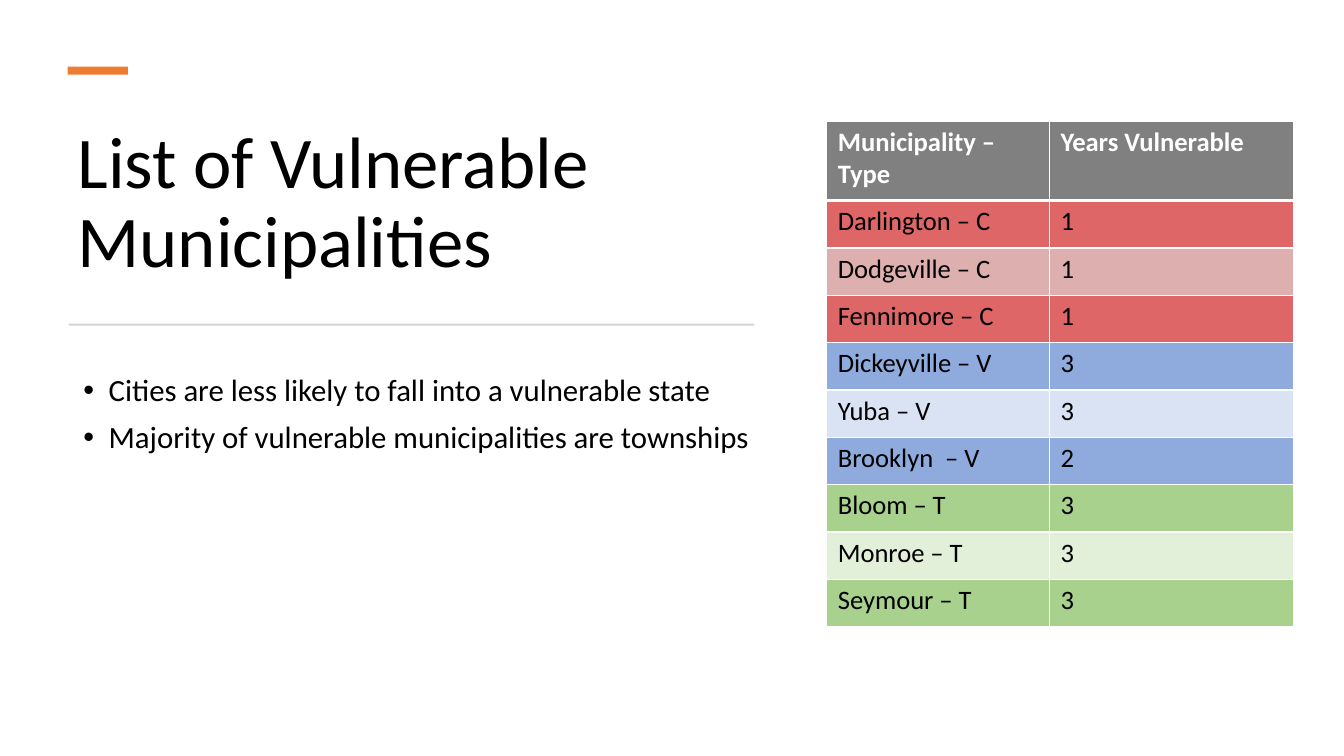
from lxml import etree
from pptx import Presentation
from pptx.dml.color import RGBColor
from pptx.enum.shapes import MSO_SHAPE
from pptx.enum.text import MSO_ANCHOR
from pptx.oxml.ns import qn
from pptx.util import Inches, Pt

RECTANGLE = MSO_SHAPE.RECTANGLE
BOTTOM, TOP = MSO_ANCHOR.BOTTOM, MSO_ANCHOR.TOP

FONT = "Calibri"
BLACK = RGBColor(0x00, 0x00, 0x00)
WHITE = RGBColor(0xFF, 0xFF, 0xFF)
ORANGE = RGBColor(0xED, 0x7D, 0x31)
RULE_GRAY = RGBColor(0xD5, 0xD5, 0xD5)
HEADER_GRAY = RGBColor(0x80, 0x80, 0x80)
RED = RGBColor(0xDE, 0x66, 0x66)
PALE_RED = RGBColor(0xDE, 0xAF, 0xAF)
BLUE = RGBColor(0x8F, 0xAA, 0xDC)
PALE_BLUE = RGBColor(0xDA, 0xE3, 0xF3)
GREEN = RGBColor(0xA9, 0xD1, 0x8E)
PALE_GREEN = RGBColor(0xE2, 0xF0, 0xD9)

LEFT = Inches(0.67)
TEXT_WIDTH = Inches(6.86)
COLUMN_WIDTHS = [Inches(2.21), Inches(2.42)]
HEADER_HEIGHT, ROW_HEIGHT = Inches(0.79), Inches(0.47)

TABLE_ROWS = [
    ("Municipality – Type", "Years Vulnerable", HEADER_GRAY),
    ("Darlington – C", "1", RED),
    ("Dodgeville – C", "1", PALE_RED),
    ("Fennimore – C", "1", RED),
    ("Dickeyville – V", "3", BLUE),
    ("Yuba – V", "3", PALE_BLUE),
    ("Brooklyn  – V", "2", BLUE),
    ("Bloom – T", "3", GREEN),
    ("Monroe – T", "3", PALE_GREEN),
    ("Seymour – T", "3", GREEN),
]


def format_text(paragraph, size, color, bold=False):
    for run in paragraph.runs:
        run.font.name = FONT
        run.font.size = Pt(size)
        run.font.bold = bold
        run.font.color.rgb = color


presentation = Presentation()
presentation.slide_width = Inches(13.33)
presentation.slide_height = Inches(7.5)
slide = presentation.slides.add_slide(presentation.slide_layouts[6])

text_blocks = [
    (1.18, 1.68, BOTTOM, 52, ["List of Vulnerable Municipalities"]),
    (3.67, 3.09, TOP, 22, [
        "Cities are less likely to fall into a vulnerable state",
        "Majority of vulnerable municipalities are townships",
    ]),
]
for top, height, anchor, size, lines in text_blocks:
    text_box = slide.shapes.add_textbox(LEFT, Inches(top), TEXT_WIDTH, Inches(height))
    text_frame = text_box.text_frame
    text_frame.word_wrap = True
    text_frame.vertical_anchor = anchor
    text_frame.text = "\n".join(lines)
    for paragraph in text_frame.paragraphs:
        paragraph.line_spacing = 0.9
        format_text(paragraph, size, BLACK)

for paragraph in text_frame.paragraphs:
    paragraph.space_before = Pt(10)
    properties = paragraph._p.get_or_add_pPr()
    properties.set("marL", str(Inches(0.31)))
    properties.set("indent", str(Inches(-0.25)))
    etree.SubElement(properties, qn("a:buFont"), typeface="Arial")
    etree.SubElement(properties, qn("a:buChar"), char="•")

bars = [
    (0.67, 0.66, 0.6, 0.08, ORANGE),
    (0.68, 3.21, 6.8, 0.02, RULE_GRAY),
]
for left, top, width, height, color in bars:
    bar = slide.shapes.add_shape(
        RECTANGLE, Inches(left), Inches(top), Inches(width), Inches(height))
    bar.shadow.inherit = False
    bar.fill.solid()
    bar.fill.fore_color.rgb = color
    bar.line.fill.background()

table = slide.shapes.add_table(
    len(TABLE_ROWS), len(COLUMN_WIDTHS), Inches(8.2), Inches(1.2),
    sum(COLUMN_WIDTHS), HEADER_HEIGHT + ROW_HEIGHT * (len(TABLE_ROWS) - 1)).table
table.horz_banding = False
for column, width in zip(table.columns, COLUMN_WIDTHS):
    column.width = width

for row_index, (municipality, years, color) in enumerate(TABLE_ROWS):
    is_header = row_index == 0
    table.rows[row_index].height = HEADER_HEIGHT if is_header else ROW_HEIGHT
    for column_index, text in enumerate((municipality, years)):
        cell = table.cell(row_index, column_index)
        cell.margin_left = cell.margin_right = Inches(0.11)
        cell.margin_top = cell.margin_bottom = Inches(0.05)
        cell.text_frame.text = text
        format_text(cell.text_frame.paragraphs[0], 19,
                    WHITE if is_header else BLACK, is_header)
        cell_properties = cell._tc.get_or_add_tcPr()
        for side in ("L", "R", "T", "B"):
            thick = (row_index, side) in ((0, "B"), (1, "T"))
            border = etree.SubElement(
                cell_properties, qn(f"a:ln{side}"), w=str(Pt(3 if thick else 1)))
            border_fill = etree.SubElement(border, qn("a:solidFill"))
            etree.SubElement(border_fill, qn("a:srgbClr"), val=str(WHITE))
        cell.fill.solid()
        cell.fill.fore_color.rgb = color

presentation.save("out.pptx")
